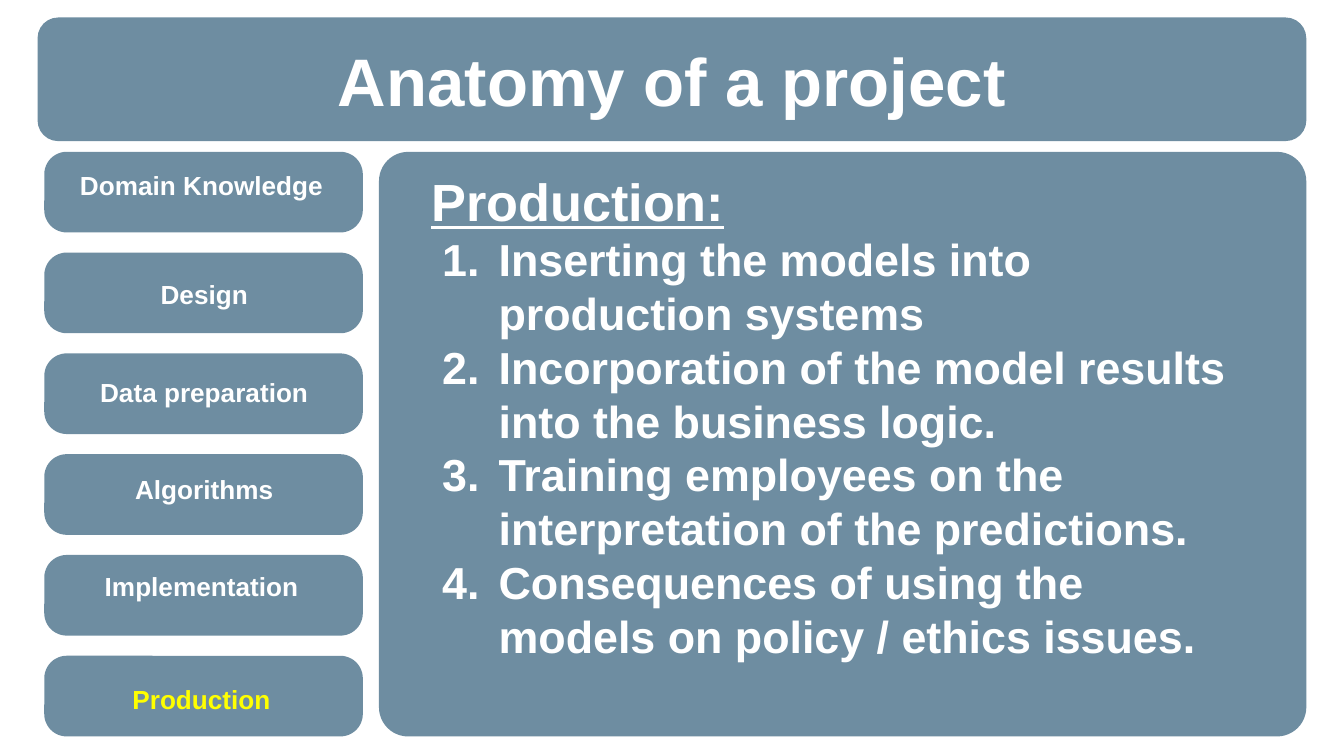
"""Build the 'Anatomy of a project' slide with its production step highlighted."""
from lxml.etree import SubElement
from pptx import Presentation
from pptx.dml.color import RGBColor
from pptx.enum.shapes import MSO_SHAPE as Preset
from pptx.enum.text import MSO_ANCHOR as Anchor, MSO_AUTO_SIZE as AutoSize, PP_ALIGN as Align
from pptx.oxml.ns import qn
from pptx.util import Inches, Pt

WHITE, YELLOW, SLATE = "FFFFFF", "FFFF00", "215170"
STEP_LEFT, STEP_WIDTH, STEP_HEIGHT = 0.33, 2.37, 0.6
TOP, ROW = 1.13, 0.75
LABEL_HEIGHT = 0.52


def place(shape, left, top, width, height):
    box = dict(left=left, top=top, width=width, height=height)
    for name, value in box.items():
        setattr(shape, name, Inches(value))


def write(para, text, size, color=WHITE, **extra):
    span = para.add_run()
    span.text = text
    style = dict(name="Arial", size=Pt(size), bold=True, **extra)
    for name, value in style.items():
        setattr(span.font, name, value)
    span.font.color.rgb = RGBColor.from_string(color)


deck = Presentation()
deck.slide_width = Inches(10)
deck.slide_height = deck.slide_width * 9 // 16
page = deck.slides.add_slide(deck.slide_layouts[1])
title, body = page.placeholders

steps = [
    ("Domain Knowledge", 0.25, 1.12, WHITE),
    ("Design", 0.33, 1.93, WHITE),
    ("Data preparation", 0.33, 2.66, WHITE),
    ("Algorithms", 0.33, 3.38, WHITE),
    ("Implementation", 0.31, 4.1, WHITE),
    ("Production", 0.31, 4.94, YELLOW),
]

panels = [(0.28, 0.13, 9.44, 0.92, 0.167), (2.82, TOP, 6.9, 4.35, 0.05)]
panels += [(STEP_LEFT, TOP + row * ROW, STEP_WIDTH, STEP_HEIGHT, 0.278)
           for row in range(len(steps))]
for *box, rounding in panels:
    panel = page.shapes.add_shape(Preset.ROUNDED_RECTANGLE, *map(Inches, box))
    panel.adjustments[0] = rounding
    panel.shadow.inherit = False
    panel.line.fill.background()
    panel.fill.solid()
    panel.fill.fore_color.rgb = RGBColor.from_string(SLATE)
    tint = panel.fill._xPr.find(".//" + qn("a:srgbClr"))
    SubElement(tint, qn("a:alpha"), val="65000")

for text, left, top, color in steps:
    width = 2.5 if text == "Domain Knowledge" else 2.38
    label = page.shapes.add_shape(
        Preset.PARALLELOGRAM, *map(Inches, (left, top, width, LABEL_HEIGHT)))
    label.adjustments[0] = 0
    label.shadow.inherit = False
    label.fill.background()
    label.line.fill.background()
    frame = label.text_frame
    frame.vertical_anchor = Anchor.MIDDLE
    for side in ("left", "right", "top", "bottom"):
        setattr(frame, f"margin_{side}", Inches(0.1))
    frame.paragraphs[0].alignment = Align.CENTER
    write(frame.paragraphs[0], text, 14, color)

place(body, 3.21, 1.26, 6.09, 4.1)
place(title, 0.33, 0.29, 9.34, 0.6)
for holder, anchor in ((body, Anchor.TOP), (title, Anchor.MIDDLE)):
    page.shapes._spTree.append(holder._element)
    frame = holder.text_frame
    frame.auto_size, frame.word_wrap = AutoSize.NONE, True
    frame.vertical_anchor = anchor
    for side in ("left", "right", "top", "bottom"):
        setattr(frame, f"margin_{side}", 0)

title.text_frame.paragraphs[0].alignment = Align.CENTER
write(title.text_frame.paragraphs[0], "Anatomy of a project", 36)

heading = body.text_frame.paragraphs[0]
props = heading._p.get_or_add_pPr()
props.set("marL", "0")
props.set("indent", "0")
SubElement(props, qn("a:buNone"))
write(heading, "Production:", 28, underline=True)

for text in (
    "Inserting the models into production systems",
    "Incorporation of the model results into the business logic.",
    "Training employees on the interpretation of the predictions.",
    "Consequences of using the models on policy / ethics issues.",
):
    para = body.text_frame.add_paragraph()
    props = para._p.get_or_add_pPr()
    props.set("marL", str(Inches(0.5)))
    props.set("indent", str(Inches(-0.42)))
    SubElement(SubElement(props, qn("a:buClr")), qn("a:srgbClr"), val=WHITE)
    SubElement(props, qn("a:buFont"), typeface="Arial")
    SubElement(props, qn("a:buAutoNum"), type="arabicPeriod")
    write(para, text, 24)

for para in body.text_frame.paragraphs:
    para.line_spacing, para.space_before = 1.0, Pt(0)

deck.save("out.pptx")
